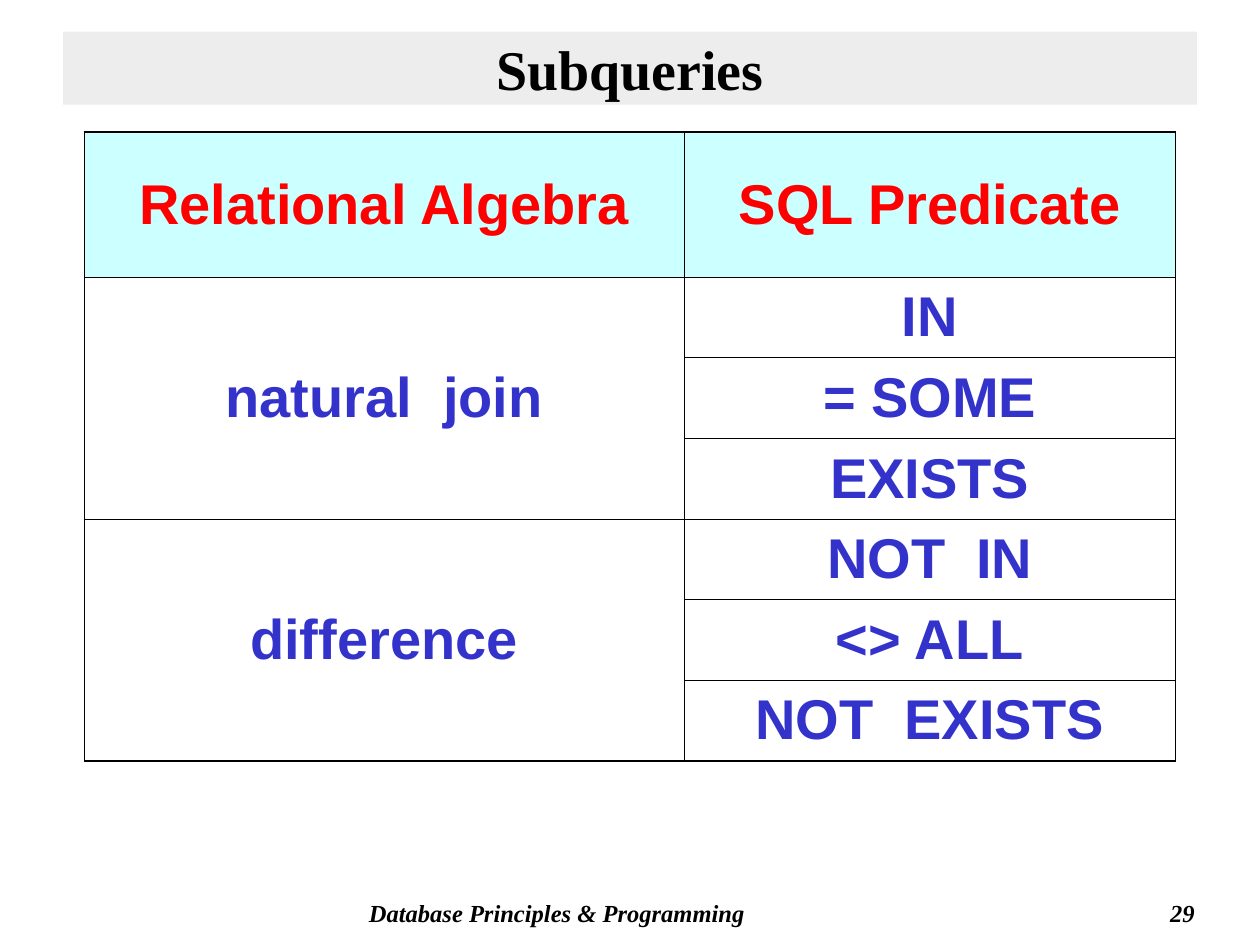
import pptx
import pptx.dml.color
import pptx.enum.text
import pptx.oxml
import pptx.oxml.ns
import pptx.util
from pptx.util import Inches

TITLE = "Subqueries"
FOOTER = "Database Principles & Programming"
PAGE = "29"
HEADERS = ["Relational Algebra", "SQL Predicate"]
GROUPS = [
    ("natural  join", ["IN", "= SOME", "EXISTS"]),
    ("difference", ["NOT  IN", "<> ALL", "NOT  EXISTS"]),
]
COLORS = {"black": "000000", "bar": "DDDDDD", "header": "CCFFFF",
          "red": "FF0000", "blue": "3333CC"}
COL_WIDTHS = [4.76, 3.9]
HEADER_HEIGHT, ROW_HEIGHT = 1.15, 0.64
OUTER, INNER = 1.08, 0.45
ALIGN = pptx.enum.text.PP_ALIGN
MIDDLE = pptx.enum.text.MSO_ANCHOR.MIDDLE


def rgb(name):
    return pptx.dml.color.RGBColor.from_string(COLORS[name])


def write(tf, text, size, font, color, align, italic=False):
    p = tf.paragraphs[0]
    p.alignment = align
    p.space_before = pptx.util.Pt(0)
    r = p.add_run()
    r.text = text
    r.font.size = pptx.util.Pt(size)
    r.font.name = font
    r.font.bold = True
    r.font.italic = italic
    r.font.color.rgb = rgb(color)


def add_title(slide):
    sp = slide.shapes.title
    sp.left, sp.top, sp.width, sp.height = map(Inches, (0.5, 0.25, 9, 0.58))
    sp.fill.solid()
    sp.fill.fore_color.rgb = rgb("bar")
    clr = sp.fill._xPr.find(".//" + pptx.oxml.ns.qn("a:srgbClr"))
    clr.append(pptx.oxml.parse_xml(
        f'<a:alpha {pptx.oxml.ns.nsdecls("a")} val="50000"/>'))
    tf = sp.text_frame
    tf.auto_size = pptx.enum.text.MSO_AUTO_SIZE.NONE
    tf.vertical_anchor = MIDDLE
    write(tf, TITLE, 32, "Times New Roman", "black", ALIGN.CENTER)


def add_footer(slide, text, left, width, align):
    sp = slide.shapes.add_textbox(*map(Inches, (left, 7.08, width, 0.33)))
    sp.text_frame.word_wrap = True
    write(sp.text_frame, text, 14, "Times New Roman", "black", align, italic=True)


def set_borders(cell, **widths):
    for side, width in widths.items():
        cell._tc.get_or_add_tcPr().append(pptx.oxml.parse_xml(
            f'<a:ln{side} {pptx.oxml.ns.nsdecls("a")} w="{pptx.util.Pt(width)}">'
            f'<a:solidFill><a:srgbClr val="{COLORS["black"]}"/></a:solidFill>'
            f'</a:ln{side}>'))


def add_predicate_table(slide):
    entries = [(0, col, 1, text, "red") for col, text in enumerate(HEADERS)]
    row = 1
    for operation, predicates in GROUPS:
        entries.append((row, 0, len(predicates), operation, "blue"))
        entries += [(row + i, 1, 1, text, "blue")
                    for i, text in enumerate(predicates)]
        row += len(predicates)

    height = HEADER_HEIGHT + (row - 1) * ROW_HEIGHT
    table = slide.shapes.add_table(
        row, len(COL_WIDTHS),
        *map(Inches, (0.67, 1.05, sum(COL_WIDTHS), height))).table
    table.first_row = table.horz_banding = False
    for column, width in zip(table.columns, COL_WIDTHS):
        column.width = Inches(width)
    for i, table_row in enumerate(table.rows):
        table_row.height = Inches(ROW_HEIGHT if i else HEADER_HEIGHT)

    for top, col, span, text, color in entries:
        cell = table.cell(top, col)
        if span > 1:
            cell.merge(table.cell(top + span - 1, col))
        cell.vertical_anchor = MIDDLE
        set_borders(cell,
                    L=OUTER if col == 0 else INNER,
                    R=OUTER if col == len(COL_WIDTHS) - 1 else INNER,
                    T=OUTER if top == 0 else INNER,
                    B=OUTER if top + span == row else INNER)
        if top == 0:
            cell.fill.solid()
            cell.fill.fore_color.rgb = rgb("header")
        else:
            cell.fill.background()
        write(cell.text_frame, text, 32, "Arial", color, ALIGN.CENTER)


def main():
    prs = pptx.Presentation()
    prs.slide_width, prs.slide_height = Inches(10), Inches(7.5)
    slide = prs.slides.add_slide(prs.slide_layouts.get_by_name("Title Only"))
    add_footer(slide, FOOTER, 2.83, 4.33, ALIGN.LEFT)
    add_footer(slide, PAGE, 7.5, 2.08, ALIGN.RIGHT)
    add_title(slide)
    add_predicate_table(slide)
    prs.save("out.pptx")


if __name__ == "__main__":
    main()
